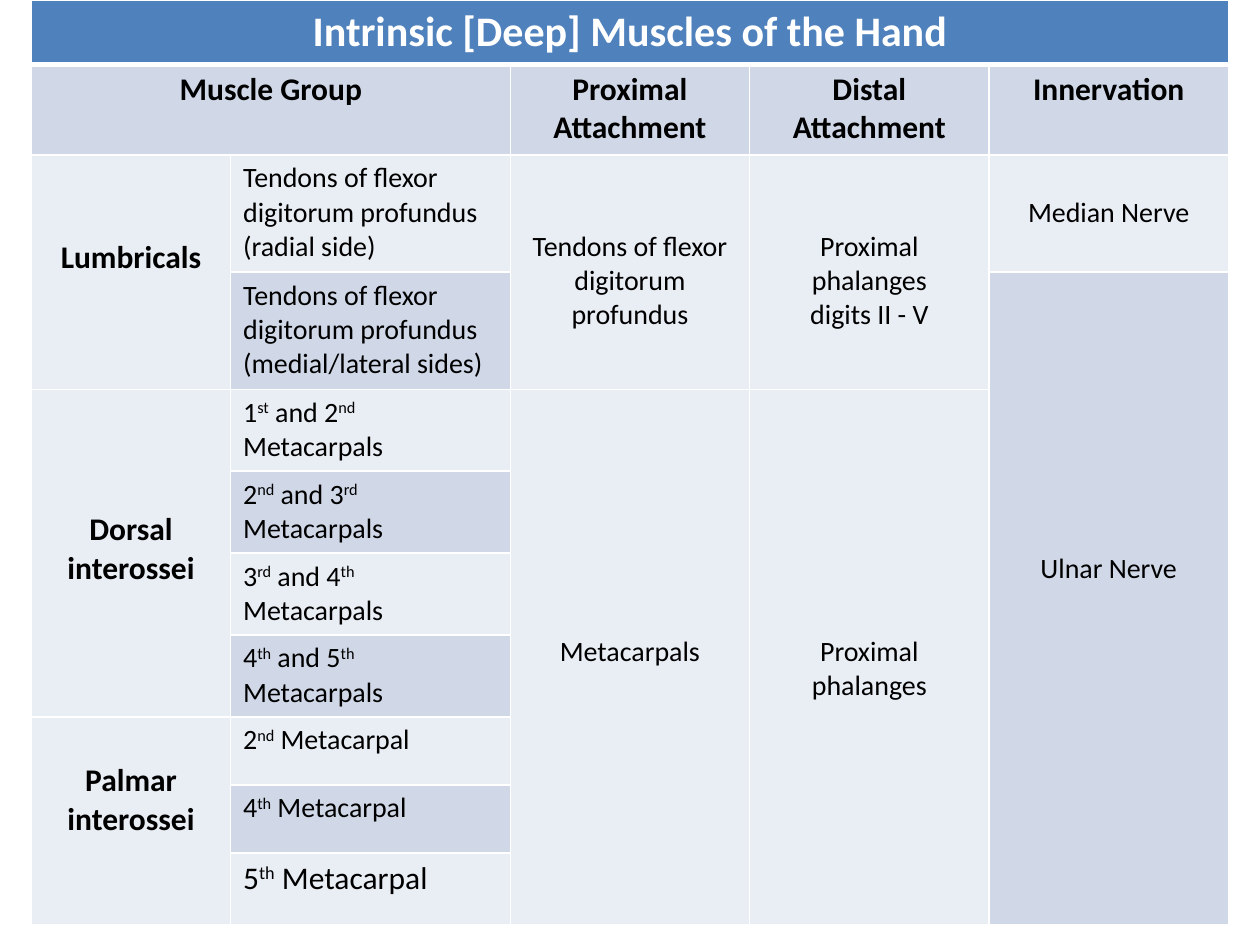
from dataclasses import dataclass

import pptx
import pptx.dml.color
import pptx.enum.text
import pptx.oxml
import pptx.oxml.ns
import pptx.table
import pptx.util
from pptx.dml.color import RGBColor
from pptx.util import Inches

TITLE_BLUE = RGBColor(0x4F, 0x81, 0xBD)
BAND_DARK = RGBColor(0xD0, 0xD8, 0xE8)
BAND_LIGHT = RGBColor(0xE9, 0xED, 0xF4)
BLACK = RGBColor(0, 0, 0)
WHITE = RGBColor(0xFF, 0xFF, 0xFF)

FONT = "Calibri"
COLUMN_WIDTHS = [1.58, 2.22, 1.9, 1.9, 1.9]
ROW_HEIGHTS = [0.51, 0.72] + [0.93] * 2 + [0.65] * 4 + [0.54] * 2 + [0.57]
CELL_MARGIN = 0.05
LINE_FACTOR = 1.22  # line height of the font relative to its size


@dataclass
class Entry:
    """One table cell; ^ marks superscript and a newline starts a paragraph."""
    row: int
    column: int
    text: str
    fill: RGBColor = BAND_LIGHT
    rows: int = 1
    columns: int = 1
    size: int = 16
    bold: bool = False
    centered: bool = True
    lines_down: int = 0  # text starts this many lines below the cell's top
    color: RGBColor = BLACK


def heading(column: int, text: str, columns: int = 1) -> Entry:
    return Entry(1, column, text, BAND_DARK, columns=columns, size=18, bold=True)


def muscle(row: int, text: str, rows: int, lines_down: int) -> Entry:
    return Entry(row, 0, text, rows=rows, size=18, bold=True, lines_down=lines_down)


ORIGINS = [
    "Tendons of flexor digitorum profundus (radial side)",
    "Tendons of flexor digitorum profundus (medial/lateral sides)",
    "1^st^ and 2^nd^ Metacarpals",
    "2^nd^ and 3^rd^\nMetacarpals",
    "3^rd^ and 4^th^\nMetacarpals",
    "4^th^ and 5^th^\nMetacarpals",
    "2^nd^ Metacarpal",
    "4^th^ Metacarpal",
    "5^th^ Metacarpal",
]

ENTRIES = [
    Entry(0, 0, "Intrinsic [Deep] Muscles of the Hand", TITLE_BLUE, columns=5,
          size=24, bold=True, color=WHITE),
    heading(0, "Muscle Group", columns=2),
    heading(2, "Proximal Attachment"),
    heading(3, "Distal\nAttachment"),
    heading(4, "Innervation"),
    # Muscle groups
    muscle(2, "Lumbricals", rows=2, lines_down=2),
    muscle(4, "Dorsal interossei", rows=4, lines_down=3),
    muscle(8, "Palmar interossei", rows=3, lines_down=1),
    # Attachments
    Entry(2, 2, "Tendons of flexor digitorum profundus", rows=2, lines_down=2),
    Entry(2, 3, "Proximal phalanges\ndigits II - V", rows=2, lines_down=2),
    Entry(4, 2, "Metacarpals", rows=7, lines_down=7),
    Entry(4, 3, "Proximal phalanges", rows=7, lines_down=7),
    # Innervation
    Entry(2, 4, "Median Nerve", lines_down=1),
    Entry(3, 4, "Ulnar Nerve", BAND_DARK, rows=8, lines_down=8),
]
# Banded list of single muscles; the last one is set larger
ENTRIES += [
    Entry(row, 1, origin, BAND_DARK if row % 2 else BAND_LIGHT,
          size=18 if row == 10 else 16, centered=False)
    for row, origin in enumerate(ORIGINS, start=2)
]


def write_text(frame, text: str, *, size: int, bold: bool, color: RGBColor,
               centered: bool) -> None:
    align = pptx.enum.text.PP_ALIGN
    for index, line in enumerate(text.split("\n")):
        paragraph = frame.add_paragraph() if index else frame.paragraphs[0]
        paragraph.alignment = align.CENTER if centered else align.LEFT
        for part, piece in enumerate(line.split("^")):
            if not piece:
                continue
            run = paragraph.add_run()
            run.text = piece
            run.font.name = FONT
            run.font.size = pptx.util.Pt(size)
            run.font.bold = bold
            run.font.color.rgb = color
            if part % 2:
                run._r.get_or_add_rPr().set("baseline", "30000")


def draw_borders(cell: pptx.table._Cell, row: int) -> None:
    """White rules all round, with a thicker one under the title."""
    widths = {"lnL": 1, "lnR": 1, "lnT": 3 if row == 1 else 1,
              "lnB": 3 if row == 0 else 1}
    properties = cell._tc.get_or_add_tcPr()
    for position, (side, width) in enumerate(widths.items()):
        properties.insert(position, pptx.oxml.parse_xml(
            f'<a:{side} {pptx.oxml.ns.nsdecls("a")} w="{pptx.util.Pt(width)}">'
            f'<a:solidFill><a:srgbClr val="{WHITE}"/></a:solidFill></a:{side}>'))


def fill_entry(table: pptx.table.Table, entry: Entry) -> None:
    cell = table.cell(entry.row, entry.column)
    if entry.rows > 1 or entry.columns > 1:
        cell.merge(table.cell(entry.row + entry.rows - 1,
                              entry.column + entry.columns - 1))
    cell.fill.solid()
    cell.fill.fore_color.rgb = entry.fill
    line_height = entry.size * LINE_FACTOR / 72
    cell.margin_top = Inches(CELL_MARGIN + entry.lines_down * line_height)
    write_text(cell.text_frame, entry.text, size=entry.size, bold=entry.bold,
               color=entry.color, centered=entry.centered)


def main() -> None:
    presentation = pptx.Presentation()
    presentation.slide_width = Inches(10)
    presentation.slide_height = Inches(7.5)
    slide = presentation.slides.add_slide(presentation.slide_layouts[6])

    # Table grid
    muscles = slide.shapes.add_table(
        len(ROW_HEIGHTS), len(COLUMN_WIDTHS), Inches(0.25), Inches(0),
        Inches(sum(COLUMN_WIDTHS)), Inches(sum(ROW_HEIGHTS))).table
    muscles.horz_banding = False
    muscles.first_row = False
    for column, width in zip(muscles.columns, COLUMN_WIDTHS):
        column.width = Inches(width)
    for row, height in zip(muscles.rows, ROW_HEIGHTS):
        row.height = Inches(height)

    # Contents and rules
    for entry in ENTRIES:
        fill_entry(muscles, entry)
    for index, row in enumerate(muscles.rows):
        for cell in row.cells:
            draw_borders(cell, index)

    presentation.save("out.pptx")


if __name__ == "__main__":
    main()
